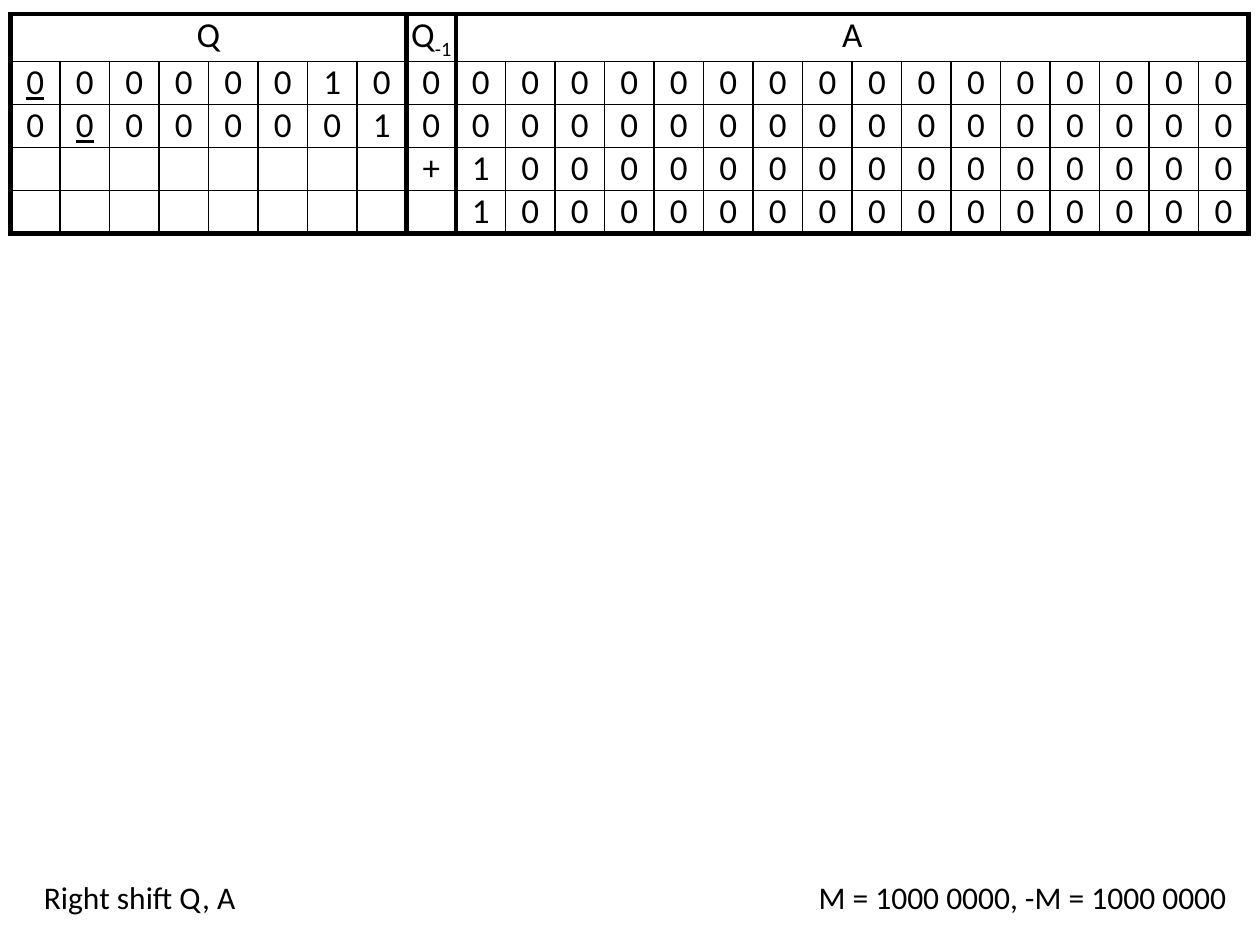
from dataclasses import dataclass

from lxml.etree import SubElement
from pptx import Presentation
from pptx.dml.color import RGBColor
from pptx.enum.text import MSO_AUTO_SIZE, PP_ALIGN
from pptx.oxml.ns import qn
from pptx.util import Pt


@dataclass(frozen=True)
class Theme:
    """Colours, type sizes and line widths of the slide."""

    font: str = "Calibri"
    ink: str = "000000"
    table_size: float = 20
    note_size: float = 18
    thin: float = 1
    thick: float = 3


THEME = Theme()
REGISTERS = (("Q", "", 8), ("Q", "-1", 1), ("A", "", 16))
STEPS = (
    ("00000010", "0", "0" * 16),
    ("00000001", "0", "0" * 16),
    (" " * 8, "+", "1" + "0" * 15),
    (" " * 8, " ", "1" + "0" * 15),
)
UNDERLINED = {(1, 0), (2, 1)}
COLUMN_WIDTH, ROW_HEIGHT = 28.3, 23


def add_text(paragraph, text, size=THEME.table_size, align=PP_ALIGN.CENTER,
             underline=None, baseline=None):
    """Append a formatted run to a paragraph."""
    paragraph.alignment = align
    run = paragraph.add_run()
    run.text = text
    run.font.name = THEME.font
    run.font.size = Pt(size)
    run.font.color.rgb = RGBColor.from_string(THEME.ink)
    run.font.underline = underline
    if baseline is not None:
        run.font._element.set("baseline", str(baseline))


def style_cell(cell, left, right, top, bottom):
    """Clear the fill and margins of a cell and draw its four borders."""
    cell.margin_left = cell.margin_right = cell.margin_top = cell.margin_bottom = 0
    properties = cell._tc.get_or_add_tcPr()
    for side, is_thick in zip("LRTB", (left, right, top, bottom)):
        width = Pt(THEME.thick if is_thick else THEME.thin)
        line = SubElement(properties, qn(f"a:ln{side}"), w=str(width))
        fill = SubElement(line, qn("a:solidFill"))
        SubElement(fill, qn("a:srgbClr"), val=THEME.ink)
    cell.fill.background()


def add_register(table, start, name, subscript, width, values):
    """Fill the columns of one register, with its merged heading."""
    end = start + width - 1
    last_row = len(values)
    heading = table.cell(0, start)
    if width > 1:
        heading.merge(table.cell(0, end))
    paragraph = heading.text_frame.paragraphs[0]
    add_text(paragraph, name)
    if subscript:
        add_text(paragraph, subscript, baseline=-25000)
    for row in range(last_row + 1):
        for column in range(start, end + 1):
            cell = table.cell(row, column)
            right = column == end or cell.is_merge_origin
            style_cell(cell, column == start, right, row == 0, row == last_row)
            bit = values[row - 1][column - start].strip() if row else ""
            if bit:
                add_text(cell.text_frame.paragraphs[0], bit,
                         underline=(row, column) in UNDERLINED or None)


def add_register_table(slide):
    """Add the table of register contents at each step."""
    columns = sum(width for _, _, width in REGISTERS)
    rows = len(STEPS) + 1
    table = slide.shapes.add_table(
        rows, columns, Pt(6), Pt(8),
        Pt(columns * COLUMN_WIDTH), Pt(rows * ROW_HEIGHT)).table
    table.first_row = table.horz_banding = False
    for column in table.columns:
        column.width = Pt(COLUMN_WIDTH)
    for row in table.rows:
        row.height = Pt(ROW_HEIGHT)
    start = 0
    for (name, subscript, width), values in zip(REGISTERS, zip(*STEPS)):
        add_register(table, start, name, subscript, width, values)
        start += width


def add_note(slide, text, left, align):
    """Add a one-line note at the foot of the slide."""
    shape = slide.shapes.add_textbox(Pt(left), Pt(498), Pt(276), Pt(29))
    frame = shape.text_frame
    frame.word_wrap = True
    frame.auto_size = MSO_AUTO_SIZE.SHAPE_TO_FIT_TEXT
    add_text(frame.paragraphs[0], text, size=THEME.note_size, align=align)


def main():
    """Build and save the slide."""
    presentation = Presentation()
    presentation.slide_width, presentation.slide_height = Pt(720), Pt(540)
    slide = presentation.slides.add_slide(presentation.slide_layouts[6])
    add_register_table(slide)
    add_note(slide, "Right shift Q, A", 18, PP_ALIGN.LEFT)
    add_note(slide, "M = 1000 0000, -M = 1000 0000", 432, PP_ALIGN.RIGHT)
    presentation.save("out.pptx")


if __name__ == "__main__":
    main()
